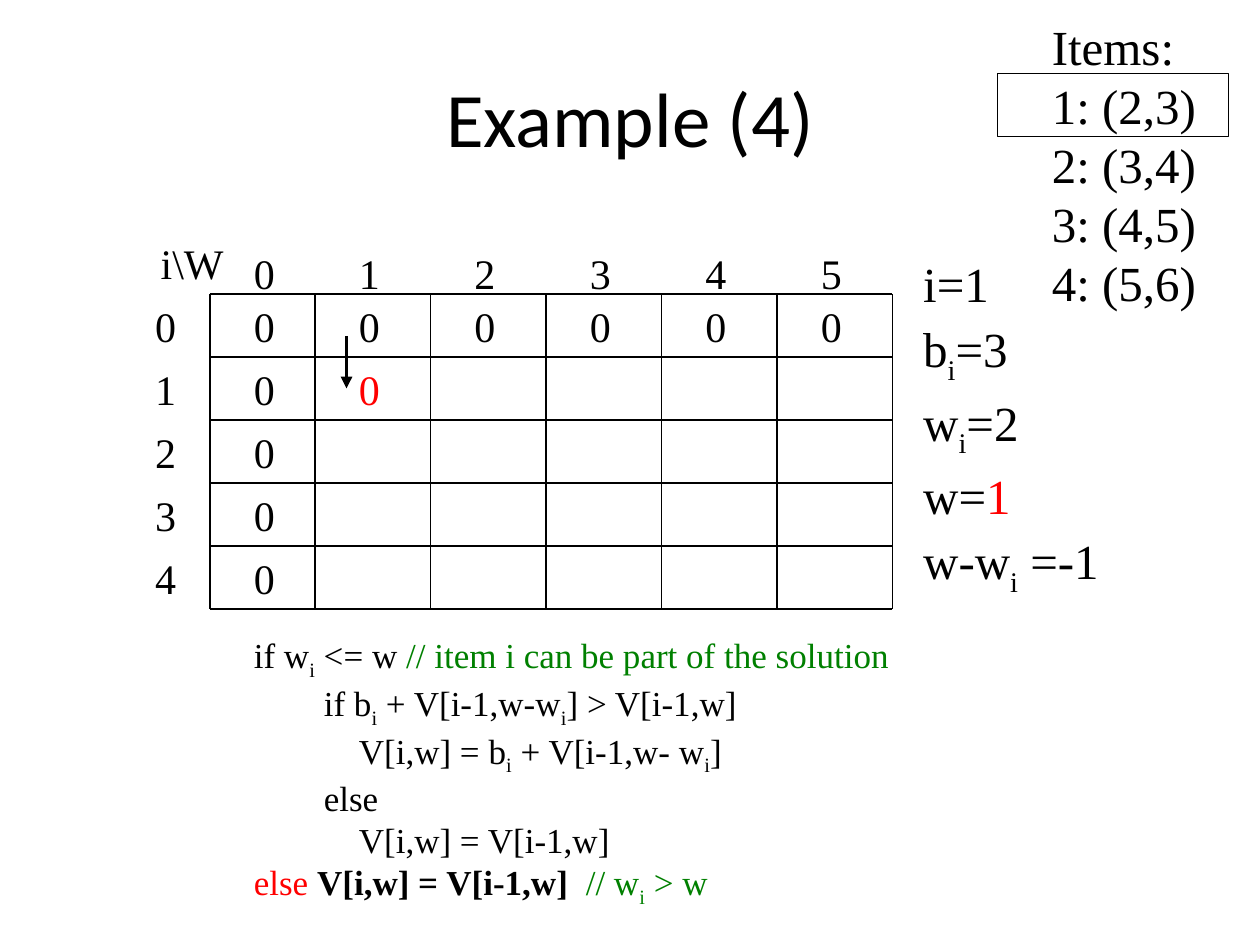
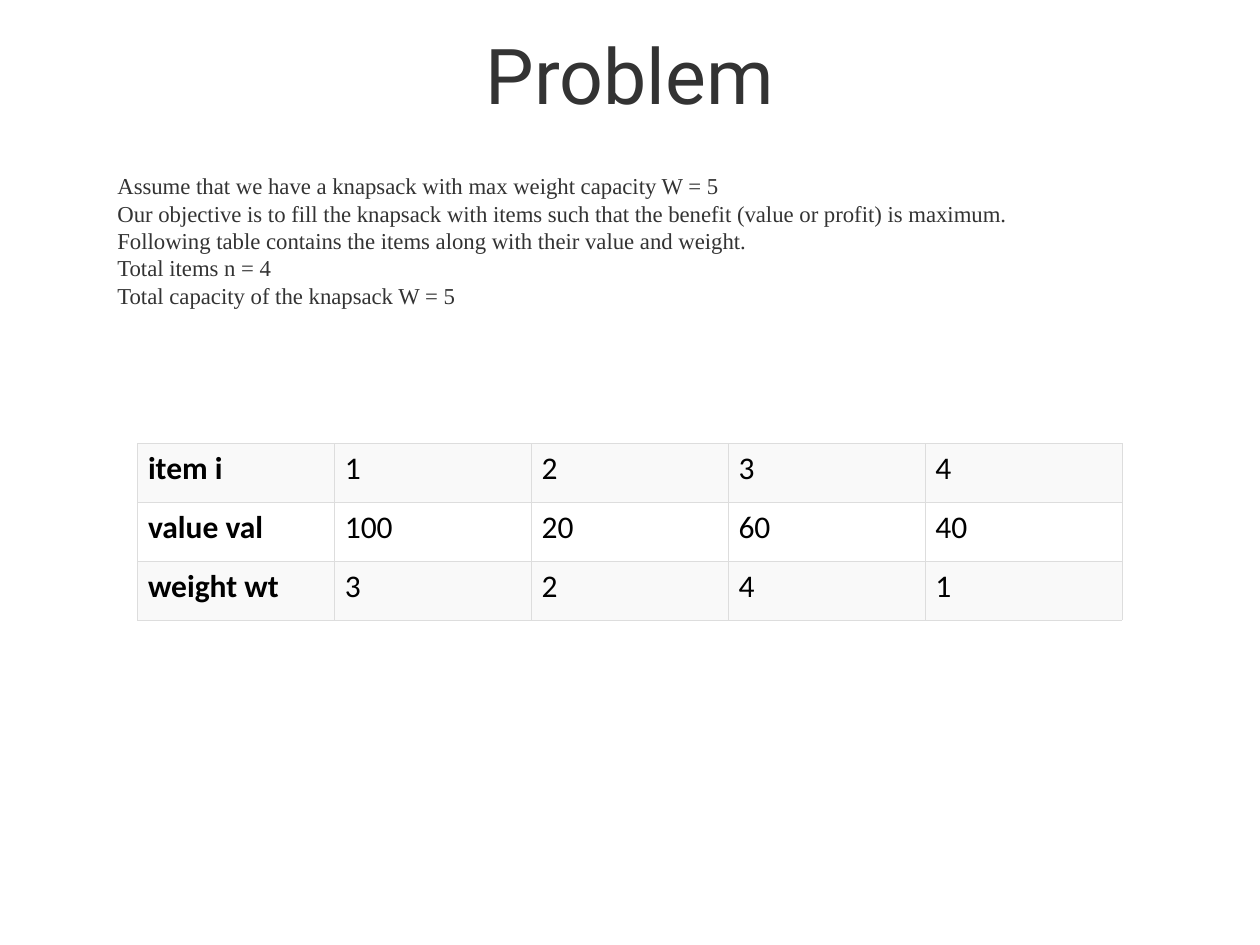
from dataclasses import dataclass
from typing import NamedTuple, Optional

from lxml import etree
from pptx import Presentation
from pptx.dml import color
from pptx.enum import shapes, text
from pptx.oxml import ns
from pptx.util import Pt


@dataclass(frozen=True)
class Theme:
    black: str = "000000"
    red: str = "FF0000"
    green: str = "008000"
    gray: str = "333333"
    white: str = "FFFFFF"
    band: str = "F9F9F9"
    rule: str = "DDDDDD"
    serif: str = "Times New Roman"
    sans: str = "Calibri"
    round: str = "Roboto"
    title: float = 44
    large: float = 28
    grid: float = 24
    code: float = 20
    cell: float = 18
    note: float = 13
    thin: float = 0.75
    thick: float = 2.25
    hair: float = 0.34


THEME = Theme()


class Box(NamedTuple):
    left: float
    top: float
    width: float
    height: float

    def pts(self) -> list:
        return [Pt(side) for side in self]


class Bit(NamedTuple):
    """Words of one look; an underscore lowers the letter after it."""
    words: str
    tint: str = THEME.black
    bold: bool = False


class Line(NamedTuple):
    bits: list[Bit]
    indent: float = 0


class Block(NamedTuple):
    box: Box
    lines: list[Line]
    size: float
    wrap: bool = True
    space: Optional[float] = None
    align: Optional[text.PP_ALIGN] = None


def plain(*rows: str, tint: str = THEME.black) -> list[Line]:
    return [Line([Bit(row, tint)]) for row in rows]


# Knapsack grid
COLS = [120] + [180 + 66 * n for n in range(6)]
ROWS = [168 + 36 * n for n in range(6)]
LABEL_X, HEAD_Y, INSET = 81.5, 138, 18

SIDE = plain("i=1", "b_i=3", "w_i=2") + [
    Line([Bit("w="), Bit("1", THEME.red)]),
    *plain("w-w_i =-1"),
]
CODE = [
    Line([Bit("if w_i <= w "),
          Bit("// item i can be part of the solution", THEME.green)]),
    Line([Bit("if b_i + V[i-1,w-w_i] > V[i-1,w]")], 40),
    Line([Bit("V[i,w] = b_i + V[i-1,w- w_i]")], 60),
    Line([Bit("else")], 40),
    Line([Bit("V[i,w] = V[i-1,w]")], 60),
    Line([Bit("else ", THEME.red), Bit("V[i,w] = V[i-1,w]  ", bold=True),
          Bit("// w_i > w", THEME.green)]),
]
BLOCKS = [
    Block(Box(138, 358.5, 546, 165), CODE, THEME.code),
    Block(Box(594, 6, 103.7, 175.5),
          plain("Items:", "1: (2,3)", "2: (3,4)", "3: (4,5)", "4: (5,6)"),
          THEME.large, wrap=False),
    Block(Box(520.5, 138, 116, 207.5), SIDE, THEME.large, space=1.1),
    Block(Box(82.8, 132, 54, 36), plain("i\\W"), THEME.grid,
          align=text.PP_ALIGN.CENTER),
]

FACTS = plain(
    "Assume that we have a knapsack with max weight capacity W = 5",
    "Our objective is to fill the knapsack with items such that the benefit "
    "(value or profit) is maximum.",
    "Following table contains the items along with their value and weight.",
    "Total items n = 4",
    "Total capacity of the knapsack W = 5",
    tint=THEME.gray,
)
ITEMS = [
    ["item i", "1", "2", "3", "4"],
    ["value val", "100", "20", "60", "40"],
    ["weight wt", "3", "2", "4", "1"],
]


def rgb(tint: str) -> color.RGBColor:
    return color.RGBColor.from_string(tint)


def style(run, face: str, size: float, tint: str, bold: bool = False) -> None:
    run.font.name, run.font.size, run.font.bold = face, Pt(size), bold
    run.font.color.rgb = rgb(tint)


def write(frame, lines: list[Line], size: float) -> None:
    for n, line in enumerate(lines):
        para = frame.paragraphs[0] if n == 0 else frame.add_paragraph()
        if line.indent:
            para._p.get_or_add_pPr().set("marL", str(Pt(line.indent)))
        for bit in line.bits:
            head, *rest = bit.words.split("_")
            parts = [(head, False)]
            for part in rest:
                parts += [(part[0], True), (part[1:], False)]
            for words, low in parts:
                if not words:
                    continue
                run = para.add_run()
                run.text = words
                style(run, THEME.serif, size, bit.tint, bit.bold)
                if low:
                    run.font._element.set("baseline", "-25000")


def add_block(slide, block: Block) -> None:
    frame = slide.shapes.add_textbox(*block.box.pts()).text_frame
    frame.word_wrap = block.wrap
    write(frame, block.lines, block.size)
    for para in frame.paragraphs:
        if block.space:
            para.line_spacing = block.space
        if block.align is not None:
            para.alignment = block.align


def add_mark(slide, left: float, top: float, words: str,
             tint: str = THEME.black) -> None:
    """Put one number in or beside the grid."""
    add_block(slide, Block(Box(left, top, 26.4, 36),
                           plain(words, tint=tint), THEME.grid, wrap=False))


def add_rule(slide, x1: float, y1: float, x2: float, y2: float,
             width: float = THEME.thin, arrow: bool = False) -> None:
    rule = slide.shapes.add_connector(
        shapes.MSO_CONNECTOR.STRAIGHT, Pt(x1), Pt(y1), Pt(x2), Pt(y2))
    rule.line.color.rgb = rgb(THEME.black)
    rule.line.width = Pt(width)
    props = rule._element.spPr
    if arrow:
        etree.SubElement(props.find(ns.qn("a:ln")), ns.qn("a:tailEnd"),
                         type="triangle")
    etree.SubElement(props, ns.qn("a:effectLst"))


def add_rect(slide, box: Box):
    rect = slide.shapes.add_shape(shapes.MSO_SHAPE.RECTANGLE, *box.pts())
    rect.shadow.inherit = False
    return rect


def add_page(deck, words: str, face: str, tint: str, box: Box):
    slide = deck.slides.add_slide(deck.slide_layouts[5])
    title = slide.shapes.title
    title.left, title.top, title.width, title.height = box.pts()
    frame = title.text_frame
    frame.text = words
    frame.auto_size = text.MSO_AUTO_SIZE.NONE
    frame.vertical_anchor = text.MSO_ANCHOR.MIDDLE
    frame.paragraphs[0].alignment = text.PP_ALIGN.CENTER
    style(frame.paragraphs[0].runs[0], face, THEME.title, tint)
    return slide


def add_grid(slide) -> None:
    for x in COLS:
        add_rule(slide, x, ROWS[0], x, ROWS[-1])
    for y in ROWS:
        add_rule(slide, COLS[0], y, COLS[-1], y)
    for n, x in enumerate(COLS[:-1]):
        add_mark(slide, x + INSET, HEAD_Y, str(n))
        add_mark(slide, x + INSET, ROWS[0], "0")
    for n, y in enumerate(ROWS[:-1]):
        add_mark(slide, LABEL_X, y, str(n))
        if n:
            add_mark(slide, COLS[0] + INSET, y, "0")
    add_mark(slide, COLS[1] + INSET, ROWS[1], "0", THEME.red)
    add_rule(slide, 198, 192, 198, 222, THEME.thick, arrow=True)


def edge(cell) -> None:
    """Draw the four borders of a cell."""
    props = cell._tc.get_or_add_tcPr()
    for side in "LRTB":
        line = etree.SubElement(props, ns.qn(f"a:ln{side}"),
                                w=str(Pt(THEME.hair)))
        fill = etree.SubElement(line, ns.qn("a:solidFill"))
        etree.SubElement(fill, ns.qn("a:srgbClr"), val=THEME.rule)


def add_items(slide, box: Box) -> None:
    table = slide.shapes.add_table(
        len(ITEMS), len(ITEMS[0]), *box.pts()).table
    table.first_row = table.horz_banding = False
    for r, row in enumerate(ITEMS):
        for c, words in enumerate(row):
            cell = table.cell(r, c)
            cell.margin_left = cell.margin_right = Pt(5.9)
            cell.margin_top = cell.margin_bottom = Pt(3.6)
            cell.text_frame.text = words
            style(cell.text_frame.paragraphs[0].runs[0], THEME.sans,
                  THEME.cell, THEME.black, bold=c == 0)
            edge(cell)
            if r % 2:
                cell.fill.background()
            else:
                cell.fill.solid()
                cell.fill.fore_color.rgb = rgb(THEME.band)


def add_facts(slide, box: Box) -> None:
    rect = add_rect(slide, box)
    rect.fill.solid()
    rect.fill.fore_color.rgb = rgb(THEME.white)
    rect.line.fill.background()
    frame = rect.text_frame
    frame.word_wrap = True
    frame.vertical_anchor = text.MSO_ANCHOR.MIDDLE
    frame.margin_top, frame.margin_bottom = Pt(14.4), Pt(7.2)
    write(frame, FACTS, THEME.note)
    for para in frame.paragraphs:
        para.alignment = text.PP_ALIGN.LEFT


def main() -> None:
    deck = Presentation()
    deck.slide_width, deck.slide_height = Pt(720), Pt(540)

    trace = add_page(deck, "Example (4)", THEME.sans, THEME.black,
                     Box(36, 21.6, 648, 90))
    for block in BLOCKS:
        add_block(trace, block)
    frame = add_rect(trace, Box(570, 42, 132, 36))
    frame.fill.background()
    frame.line.color.rgb = rgb(THEME.black)
    frame.line.width = Pt(THEME.thin)
    add_grid(trace)

    task = add_page(deck, "Problem", THEME.round, THEME.gray,
                    Box(36, 8, 648, 68))
    add_items(task, Box(78.7, 253.5, 562.5, 100.8))
    add_facts(task, Box(60, 84, 582, 99.4))

    deck.save("out.pptx")


if __name__ == "__main__":
    main()
